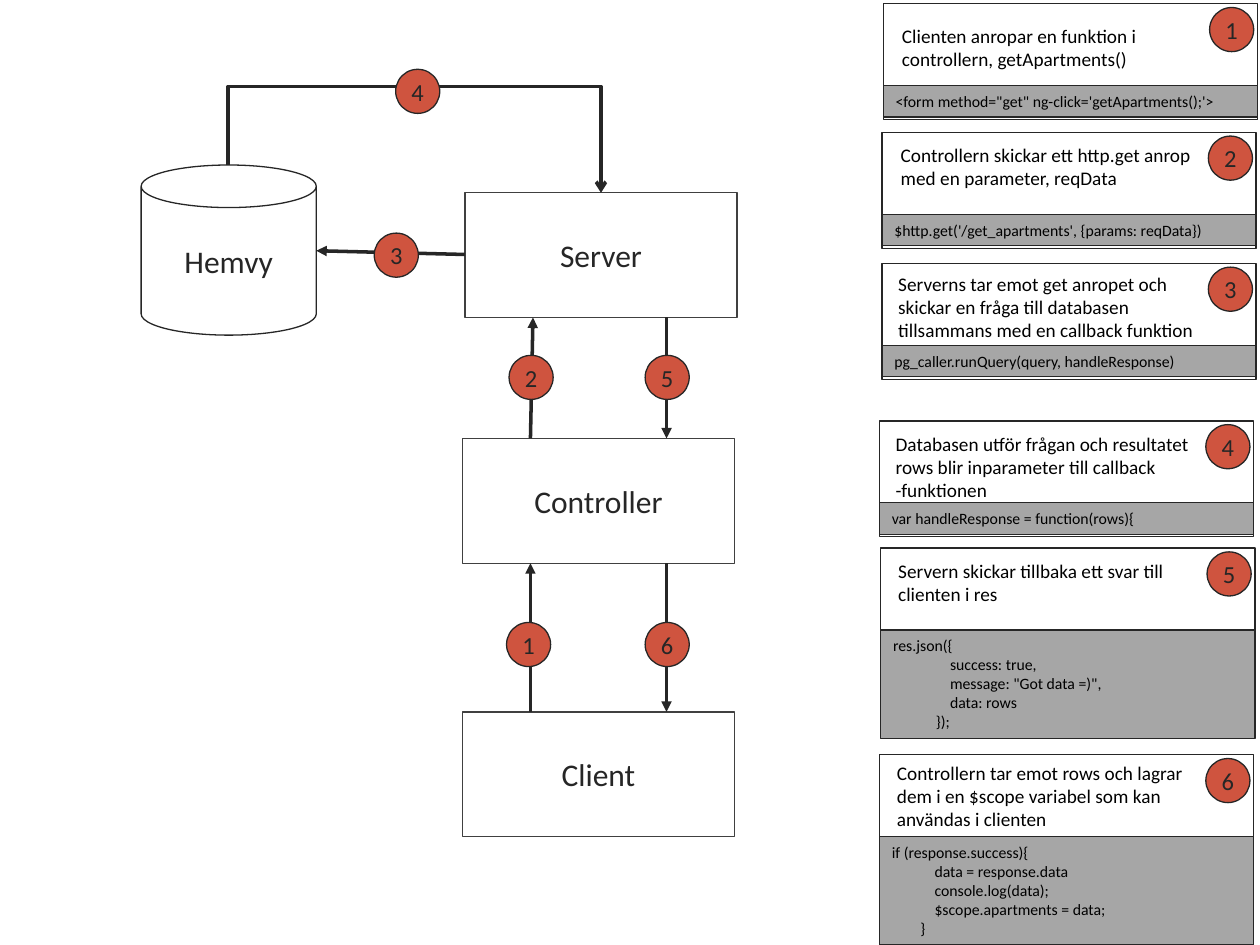
import lxml.etree
import pptx
import pptx.dml.color
import pptx.enum.shapes
import pptx.enum.text
import pptx.oxml
import pptx.oxml.ns
import pptx.util

SHAPE = pptx.enum.shapes.MSO_SHAPE
LINK = pptx.enum.shapes.MSO_CONNECTOR
ALIGN = pptx.enum.text.PP_ALIGN
ANCHOR = pptx.enum.text.MSO_ANCHOR
FIT = pptx.enum.text.MSO_AUTO_SIZE
qn = pptx.oxml.ns.qn

THEME = dict(font="Calibri", ink="262626", edge="404040", text="000000",
             paper="FFFFFF", code="A6A6A6", badge="CF543F",
             node_size=18, badge_size=14, body_size=11, code_size=9,
             outline=0.75, arrow=2)

prs = pptx.Presentation()
prs.slide_width = pptx.util.Inches(10)
prs.slide_height = pptx.util.Inches(7.5)
s = prs.slides.add_slide(prs.slide_layouts[6])
UNIT = prs.slide_width / 100  # square grid: 100 columns by 75 rows


def add_box(kind, cell, text="", size="body_size", color="text",
            fill=None, line=None, centred=False, inset=None):
    """Add a shape, or a text box if kind is None, at grid cell (x, y, w, h)."""
    place = [round(v * UNIT) for v in cell]
    if kind is None:
        sp = s.shapes.add_textbox(*place)
    else:
        sp = s.shapes.add_shape(kind, *place)
        sp.shadow.inherit = False
        if fill:
            sp.fill.solid()
            sp.fill.fore_color.rgb = pptx.dml.color.RGBColor.from_string(THEME[fill])
        else:
            sp.fill.background()
        sp.line.color.rgb = pptx.dml.color.RGBColor.from_string(THEME[line])
        sp.line.width = pptx.util.Pt(THEME["outline"])
    if not text:
        return
    tf = sp.text_frame
    tf.word_wrap = True
    tf.text = text
    tf.vertical_anchor = ANCHOR.MIDDLE if centred else ANCHOR.TOP
    tf.auto_size = FIT.NONE if centred else FIT.SHAPE_TO_FIT_TEXT
    if inset is not None:
        tf.margin_left = tf.margin_right = round(inset * UNIT)
        tf.margin_top = tf.margin_bottom = round(inset * UNIT)
    for p in tf.paragraphs:
        p.alignment = ALIGN.CENTER if centred else ALIGN.LEFT
        for r in p.runs:
            r.font.name = THEME["font"]
            r.font.size = pptx.util.Pt(THEME[size])
            r.font.color.rgb = pptx.dml.color.RGBColor.from_string(THEME[color])


def add_badge(number, x, y):
    add_box(SHAPE.OVAL, (x, y, 3.5, 3.5), str(number), "badge_size", "ink",
            "badge", "ink", centred=True, inset=0.4)


# Database and the three layers
add_box(SHAPE.CAN, (11.2, 13.1, 13.9, 13.5), "Hemvy", "node_size", "ink",
        line="ink", centred=True)
for name, x, y in [("Server", 36.9, 15.3), ("Controller", 36.7, 34.8),
                   ("Client", 36.7, 56.5)]:
    add_box(SHAPE.RECTANGLE, (x, y, 21.6, 9.9), name, "node_size", "ink",
            "paper", "edge", centred=True)

# Arrows of the request and the response
arrows = [
    (LINK.STRAIGHT, (42.1, 56.5, 42.1, 44.7), "triangle"),
    (LINK.STRAIGHT, (42.1, 34.8, 42.3, 25.2), "triangle"),
    (LINK.STRAIGHT, (36.9, 20.2, 25.1, 19.9), "triangle"),
    (LINK.ELBOW, (18.1, 13.1, 47.7, 15.3), "arrow"),
    (LINK.STRAIGHT, (52.9, 25.2, 52.9, 34.8), "triangle"),
    (LINK.STRAIGHT, (52.9, 44.7, 52.9, 56.5), "triangle"),
]
for kind, ends, head in arrows:
    c = s.shapes.add_connector(kind, *[round(v * UNIT) for v in ends])
    c.line.color.rgb = pptx.dml.color.RGBColor.from_string(THEME["ink"])
    c.line.width = pptx.util.Pt(THEME["arrow"])
    sp_pr = c._element.spPr
    lxml.etree.SubElement(sp_pr.find(qn("a:ln")), qn("a:tailEnd"), type=head)
    lxml.etree.SubElement(sp_pr, qn("a:effectLst"))
    if kind == LINK.ELBOW:
        # A quarter turn lets the elbow leave upwards and arrive from above.
        x1, y1, x2, y2 = ends
        w, h = y2 - y1, x2 - x1
        c.left = round(((x1 + x2 - w) / 2) * UNIT)
        c.top = round(((y1 + y2 - h) / 2) * UNIT)
        c.width, c.height = round(w * UNIT), round(h * UNIT)
        xfrm = sp_pr.find(qn("a:xfrm"))
        xfrm.set("rot", "16200000")
        xfrm.set("flipH", "1")
        guides = sp_pr.find(qn("a:prstGeom")).get_or_add_avLst()
        lxml.etree.SubElement(guides, qn("a:gd"), name="adj1", fmla="val -283200")

for number, (x, y) in enumerate([(40.2, 49.4), (40.4, 28.2), (29.7, 18.5),
                                 (31.4, 5.5), (51.2, 28.2), (51.2, 49.4)], 1):
    add_badge(number, x, y)

# Step cards: card x and y, text offset, text height, text, code
cards = [
    (70.1, 0.3, (0.5, 1.1), 4.7,
     "Clienten anropar en funktion i controllern, getApartments()",
     "<form method=\"get\" ng-click='getApartments();'>"),
    (70, 10.5, (0.5, 0.4), 4.7,
     "Controllern skickar ett http.get anrop med en parameter, reqData",
     "$http.get('/get_apartments', {params: reqData})"),
    (70, 20.9, (0.3, 0.2), 6.6,
     "Serverns tar emot get anropet och skickar en fråga till databasen "
     "tillsammans med en callback funktion",
     "pg_caller.runQuery(query, handleResponse)"),
    (69.8, 33.4, (0.3, 0.4), 6.6,
     "Databasen utför frågan och resultatet rows blir inparameter till "
     "callback -funktionen",
     "var handleResponse = function(rows){"),
    (69.9, 43.5, (0.4, 0.4), 4.7,
     "Servern skickar tillbaka ett svar till clienten i res",
     "res.json({\n"
     "                success: true,\n"
     "                message: \"Got data =)\",\n"
     "                data: rows\n"
     "            });"),
    (69.8, 59.9, (0.4, 0), 6.6,
     "Controllern tar emot rows och lagrar dem i en $scope variabel som kan "
     "användas i clienten",
     "if (response.success){\n"
     "            data = response.data\n"
     "            console.log(data);\n"
     "            $scope.apartments = data;\n"
     "        }"),
]
for number, (x, y, (dx, dy), text_h, text, code) in enumerate(cards, 1):
    code_h = 2.5 + 1.525 * code.count("\n")
    add_box(SHAPE.RECTANGLE, (x, y, 29.7, 9.2), fill="paper", line="ink")
    add_box(SHAPE.RECTANGLE, (x, y + 6.5, 29.7, code_h), code, "code_size",
            fill="code", line="ink")
    add_box(None, (x + dx, y + dy, 25.8, text_h), text)
    add_badge(number, x + 25.9, y + 0.3)

prs.save("out.pptx")
